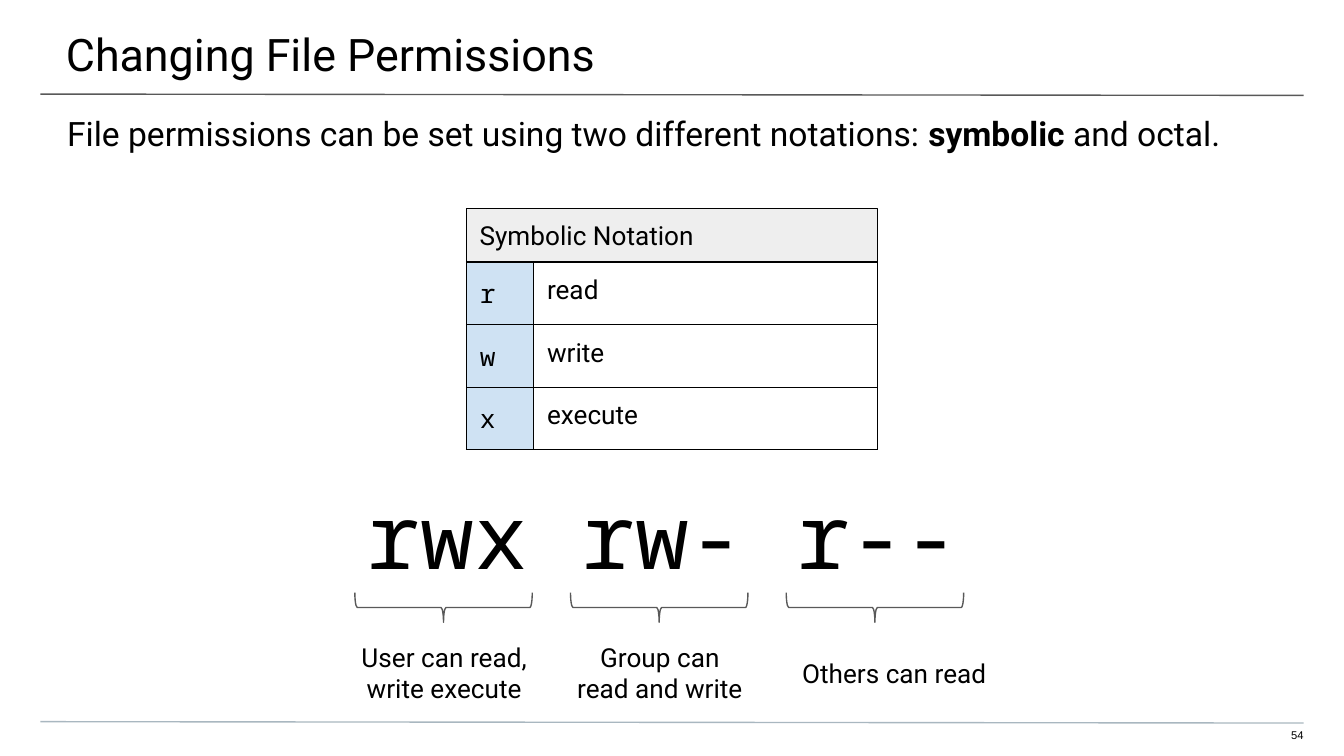
import pptx
import pptx.dml.color
import pptx.enum.shapes
import pptx.enum.text
import pptx.oxml
import pptx.oxml.ns
import pptx.util

# Grid: 100 columns across the slide, with rows of the same size (16:9)
COLUMNS, ROWS = 100, 56.25
UNIT = pptx.util.Inches(0.1)
BODY_FONT, CODE_FONT = "Roboto", "Noto Sans Mono"
BLACK, GREY, BLUE_GREY = "000000", "595959", "A9B7C0"
HEADER_FILL, KEY_FILL, WHITE = "EEEEEE", "CFE2F3", "FFFFFF"
LINE_WIDTH = pptx.util.Pt(0.75)
INSETS = (1, 1, 1, 1)
LEFT = pptx.enum.text.PP_ALIGN.LEFT
CENTER = pptx.enum.text.PP_ALIGN.CENTER
RIGHT = pptx.enum.text.PP_ALIGN.RIGHT
TOP = pptx.enum.text.MSO_ANCHOR.TOP
MIDDLE = pptx.enum.text.MSO_ANCHOR.MIDDLE
SHAPES = pptx.enum.shapes.MSO_SHAPE


def grid(*cells):
    return [round(cell * UNIT) for cell in cells]


def color(hex_string):
    return pptx.dml.color.RGBColor.from_string(hex_string)


def set_margins(target, insets):
    (target.margin_left, target.margin_top,
     target.margin_right, target.margin_bottom) = grid(*insets)


def format_text(text_frame, size, font=BODY_FONT, align=LEFT):
    for paragraph in text_frame.paragraphs:
        paragraph.alignment = align
        for run in paragraph.runs:
            run.font.size = pptx.util.Pt(size)
            run.font.name = font
            run.font.color.rgb = color(BLACK)


def fill_frame(shape, text, size, font=BODY_FONT, align=LEFT,
               insets=INSETS, anchor=TOP):
    frame = shape.text_frame
    frame.word_wrap = True
    frame.auto_size = pptx.enum.text.MSO_AUTO_SIZE.NONE
    frame.vertical_anchor = anchor
    set_margins(frame, insets)
    frame.text = text
    format_text(frame, size, font, align)


def add_text(slide, box, text, size, **options):
    shape = slide.shapes.add_textbox(*grid(*box))
    fill_frame(shape, text, size, **options)
    return shape


def add_rule(slide, row, line_color):
    """A very slightly sloping line between the side margins."""
    rule = slide.shapes.add_connector(
        pptx.enum.shapes.MSO_CONNECTOR.STRAIGHT,
        *grid(3, row, COLUMNS - 3, row + 0.1))
    rule.line.color.rgb = color(line_color)
    rule.line.width = LINE_WIDTH
    properties = rule._element.spPr
    properties.append(pptx.oxml.parse_xml(
        f'<a:effectLst {pptx.oxml.ns.nsdecls("a")}/>'))


def add_title(slide, text):
    title = slide.shapes.title
    title.left, title.top, title.width, title.height = grid(-0.1, 0, 100.3, 5.8)
    fill_frame(title, text, 24, insets=(5, 2, 3, 1))


def add_subtitle(slide, parts):
    """Parts are pairs of text and whether it is bold."""
    shape = add_text(slide, (0, 7.4, COLUMNS, 4), "", 18, insets=(5, 1, 5, 0))
    paragraph = shape.text_frame.paragraphs[0]
    for text, bold in parts:
        run = paragraph.add_run()
        run.text = text
        run.font.bold = bold
    format_text(shape.text_frame, 18)


def add_shape(slide, kind, box, line_color, fill=None):
    shape = slide.shapes.add_shape(kind, *grid(*box))
    shape.shadow.inherit = False
    shape.line.color.rgb = color(line_color)
    shape.line.width = LINE_WIDTH
    if fill:
        shape.fill.solid()
        shape.fill.fore_color.rgb = color(fill)
    else:
        shape.fill.background()
    return shape


def set_borders(cell):
    properties = cell._tc.get_or_add_tcPr()
    for position, side in enumerate(("lnL", "lnR", "lnT", "lnB")):
        properties.insert(position, pptx.oxml.parse_xml(
            f'<a:{side} {pptx.oxml.ns.nsdecls("a")} w="{LINE_WIDTH}">'
            f'<a:solidFill><a:srgbClr val="{BLACK}"/></a:solidFill></a:{side}>'))


def add_notation_table(slide, left, top, entries):
    widths, row_height = (5, 25.6), 4.6
    table = slide.shapes.add_table(
        len(entries), len(widths),
        *grid(left, top, sum(widths), row_height * len(entries))).table
    table.first_row = table.horz_banding = False
    for column, width in zip(table.columns, grid(*widths)):
        column.width = width
    styles = ((CODE_FONT, KEY_FILL), (BODY_FONT, WHITE))
    for row, entry in enumerate(entries):
        for column, (text, (font, fill)) in enumerate(zip(entry, styles)):
            cell = table.cell(row, column)
            cell.text = text
            set_margins(cell, INSETS)
            format_text(cell.text_frame, 14, font)
            cell.fill.solid()
            cell.fill.fore_color.rgb = color(fill)
            set_borders(cell)


def add_brace(slide, left):
    brace = add_shape(slide, SHAPES.LEFT_BRACE, (left, 38.6, 2.2, 13.2), GREY)
    brace.adjustments[0] = 0.083
    brace.adjustments[1] = 0.5
    brace.rotation = 270


def main():
    presentation = pptx.Presentation()
    presentation.slide_width, presentation.slide_height = grid(COLUMNS, ROWS)
    slide = presentation.slides.add_slide(presentation.slide_layouts[5])

    # Rules, title and introduction
    add_rule(slide, 7, GREY)
    add_rule(slide, 53.7, BLUE_GREY)
    add_title(slide, "Changing File Permissions")
    add_subtitle(slide, [
        ("File permissions can be set using two different notations: ", False),
        ("symbolic", True),
        (" and octal.", False),
    ])

    # Table of symbols under its header
    add_notation_table(slide, 34.7, 19.5,
                       [("r", "read"), ("w", "write"), ("x", "execute")])
    header = add_shape(slide, SHAPES.RECTANGLE, (34.7, 15.5, 30.6, 4),
                       BLACK, HEADER_FILL)
    fill_frame(header, "Symbolic Notation", 14, anchor=MIDDLE)

    # Example with a brace and an explanation for each group
    add_text(slide, (26.3, 34.7, 47.7, 7.1), "rwx rw- r--", 48, font=CODE_FONT)
    explanations = [
        ("User can read, write execute", (25.3, 46.7, 15.5, 7.1), CENTER),
        ("Group can read and write", (41.9, 46.7, 14.4, 7.1), CENTER),
        ("Others can read", (58.7, 47.9, 16, 4.6), LEFT),
    ]
    for index, (text, box, align) in enumerate(explanations):
        add_brace(slide, 31.9 + 16.05 * index)
        add_text(slide, box, text, 14, align=align)

    # Slide number
    add_text(slide, (94.1, 54.2, 2.9, 1.2), "54", 6, font="Arial",
             align=RIGHT, insets=(0, 0, 0, 1))

    presentation.save("out.pptx")


if __name__ == "__main__":
    main()
